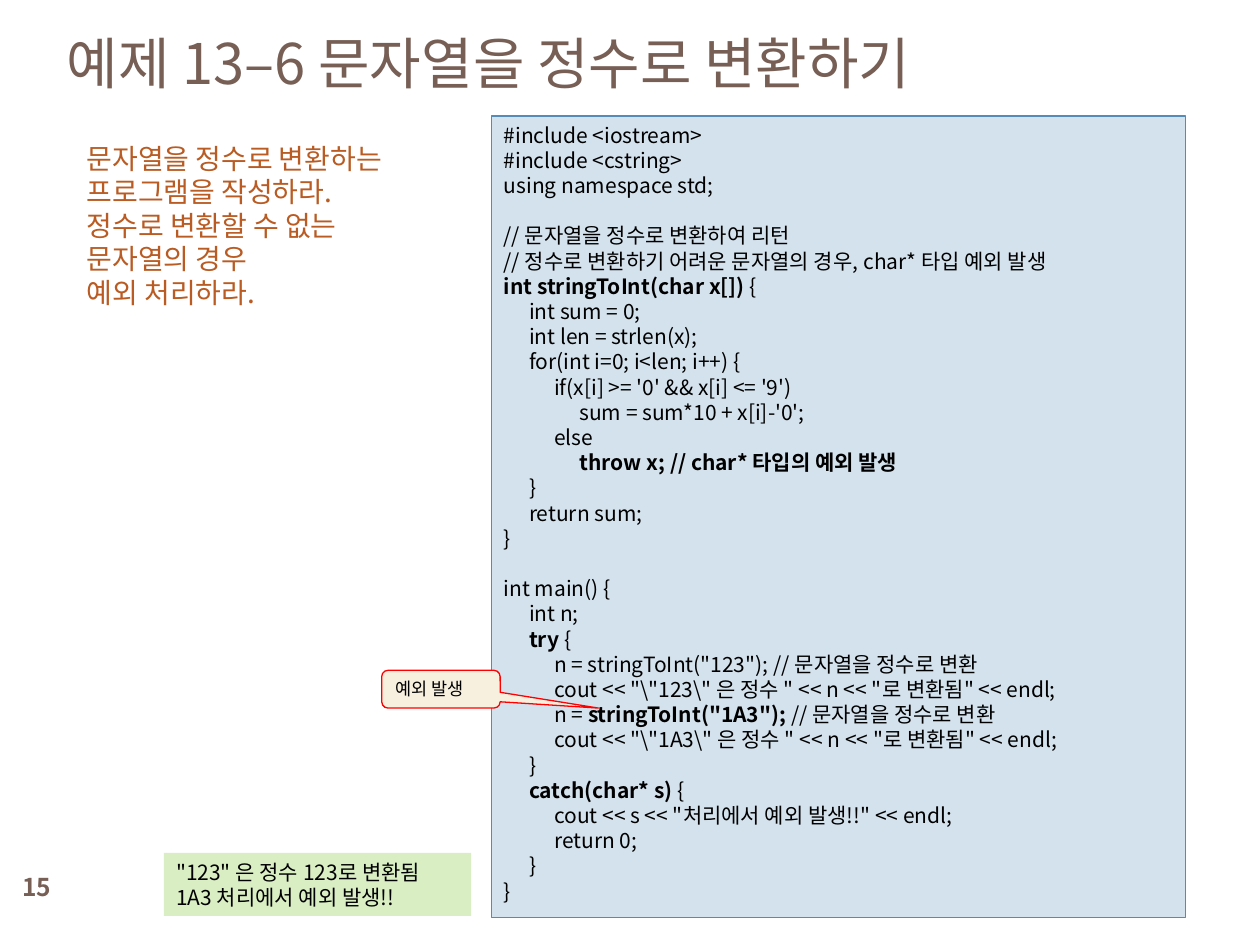
from pptx import Presentation
from pptx.dml.color import RGBColor
from pptx.enum.shapes import MSO_SHAPE
from pptx.enum.text import MSO_ANCHOR, PP_ALIGN
from pptx.oxml.ns import qn
from pptx.util import Inches, Pt
from lxml.etree import SubElement

FONT = "Noto Sans CJK KR"
INDENT = "    "

CODE = r'''#include <iostream>
#include <cstring>
using namespace std;

// 문자열을 정수로 변환하여 리턴
// 정수로 변환하기 어려운 문자열의 경우, char* 타입 예외 발생
**int stringToInt(char x[]) **{
    int sum = 0;
    int len = strlen(x);
    for(int i=0; i<len; i++) {
        if(x[i] >= '0' && x[i] <= '9')
            sum = sum*10 + x[i]-'0';
        else
            **throw x; // char* 타입의 예외 발생**
    }
    return sum;
}

int main() {
    int n;
    **try** {
        n = stringToInt("123"); // 문자열을 정수로 변환
        cout << "\"123\" 은 정수 " << n << "로 변환됨" << endl;
        n = **stringToInt("1A3"); **// 문자열을 정수로 변환
        cout << "\"1A3\" 은 정수 " << n << "로 변환됨" << endl;
    }
    **catch(char* s) **{
        cout << s << "처리에서 예외 발생!!" << endl;
        return 0;
    }
}'''

TASK = """문자열을 정수로 변환하는
프로그램을 작성하라.
정수로 변환할 수 없는
문자열의 경우
예외 처리하라."""

OUTPUT = '''"123" 은 정수 123로 변환됨
1A3 처리에서 예외 발생!!'''


def rgb(value):
    """Turn a hex string into a colour."""
    return RGBColor.from_string(value)


def add_tabs(p, step=0.2, count=3):
    """Set evenly spaced left tab stops on a paragraph."""
    tabs = SubElement(p._p.get_or_add_pPr(), qn("a:tabLst"))
    for i in range(1, count + 1):
        SubElement(tabs, qn("a:tab"), pos=str(Inches(step * i)), algn="l")


def add_run(p, text, size, color, bold):
    """Append a formatted run to a paragraph."""
    r = p.add_run()
    r.text = text
    r.font.name = FONT
    r.font.size = Pt(size)
    r.font.bold = bold
    r.font.color.rgb = rgb(color)
    SubElement(r._r.get_or_add_rPr(), qn("a:ea"), typeface=FONT)


def write(sp, text, size=12, color="000000", bold=False, align=PP_ALIGN.LEFT,
          anchor=MSO_ANCHOR.TOP, tabs=False):
    """Write lines into a shape, with ** around the bold parts."""
    tf = sp.text_frame
    tf.word_wrap = True
    tf.vertical_anchor = anchor
    for i, line in enumerate(text.split("\n")):
        p = tf.paragraphs[0] if i == 0 else tf.add_paragraph()
        p.alignment = align
        p.line_spacing = Pt(size * 1.2)
        if tabs:
            add_tabs(p)
        for j, part in enumerate(line.split("**")):
            if part:
                add_run(p, part.replace(INDENT, "\t"), size, color, bold or j % 2 == 1)


def add_title(s, text, x, y, w, h):
    """Place and fill the title placeholder."""
    sp = s.shapes.title
    sp.left, sp.top, sp.width, sp.height = map(Inches, (x, y, w, h))
    write(sp, text, size=32, color="775F55", anchor=MSO_ANCHOR.MIDDLE)


def add_text(s, text, x, y, w, h, **fmt):
    """Add a text box."""
    write(s.shapes.add_textbox(*map(Inches, (x, y, w, h))), text, **fmt)


def add_panel(s, text, x, y, w, h, fill, line=None, kind=MSO_SHAPE.RECTANGLE, **fmt):
    """Add a filled shape with text and return it."""
    sp = s.shapes.add_shape(kind, *map(Inches, (x, y, w, h)))
    sp.shadow.inherit = False
    sp.fill.solid()
    sp.fill.fore_color.rgb = rgb(fill)
    if line:
        sp.line.color.rgb = rgb(line)
        sp.line.width = Pt(0.75)
    else:
        sp.line.fill.background()
    write(sp, text, **fmt)
    return sp


def add_callout(s, text, x, y, w, h, tip, **fmt):
    """Add a rounded callout whose tip is relative to its size."""
    sp = add_panel(s, text, x, y, w, h, kind=MSO_SHAPE.ROUNDED_RECTANGULAR_CALLOUT, **fmt)
    sp.adjustments[0], sp.adjustments[1] = tip


def main():
    """Build the slide."""
    prs = Presentation()
    prs.slide_width, prs.slide_height = Inches(10), Inches(7.5)
    s = prs.slides.add_slide(prs.slide_layouts[5])
    add_text(s, "15", 0, 6.83, 0.58, 0.42, size=14, color="775F55", bold=True,
             align=PP_ALIGN.CENTER, anchor=MSO_ANCHOR.MIDDLE)
    add_title(s, "예제 13–6 문자열을 정수로 변환하기", 0.43, 0.12, 8.92, 0.74)
    add_panel(s, CODE, 3.9, 0.92, 5.51, 6.36, "D4E2ED", "558BB8", tabs=True)
    add_panel(s, OUTPUT, 1.3, 6.77, 2.44, 0.5, "DAEEC4")
    add_callout(s, "예외 발생", 3.03, 5.32, 0.94, 0.3, (1.33, 0.5),
                fill="F7F0DE", line="FF0000", size=10)
    add_text(s, TASK, 0.59, 1.07, 3.15, 1.45, size=16, color="B95B22")
    prs.save("out.pptx")


if __name__ == "__main__":
    main()
